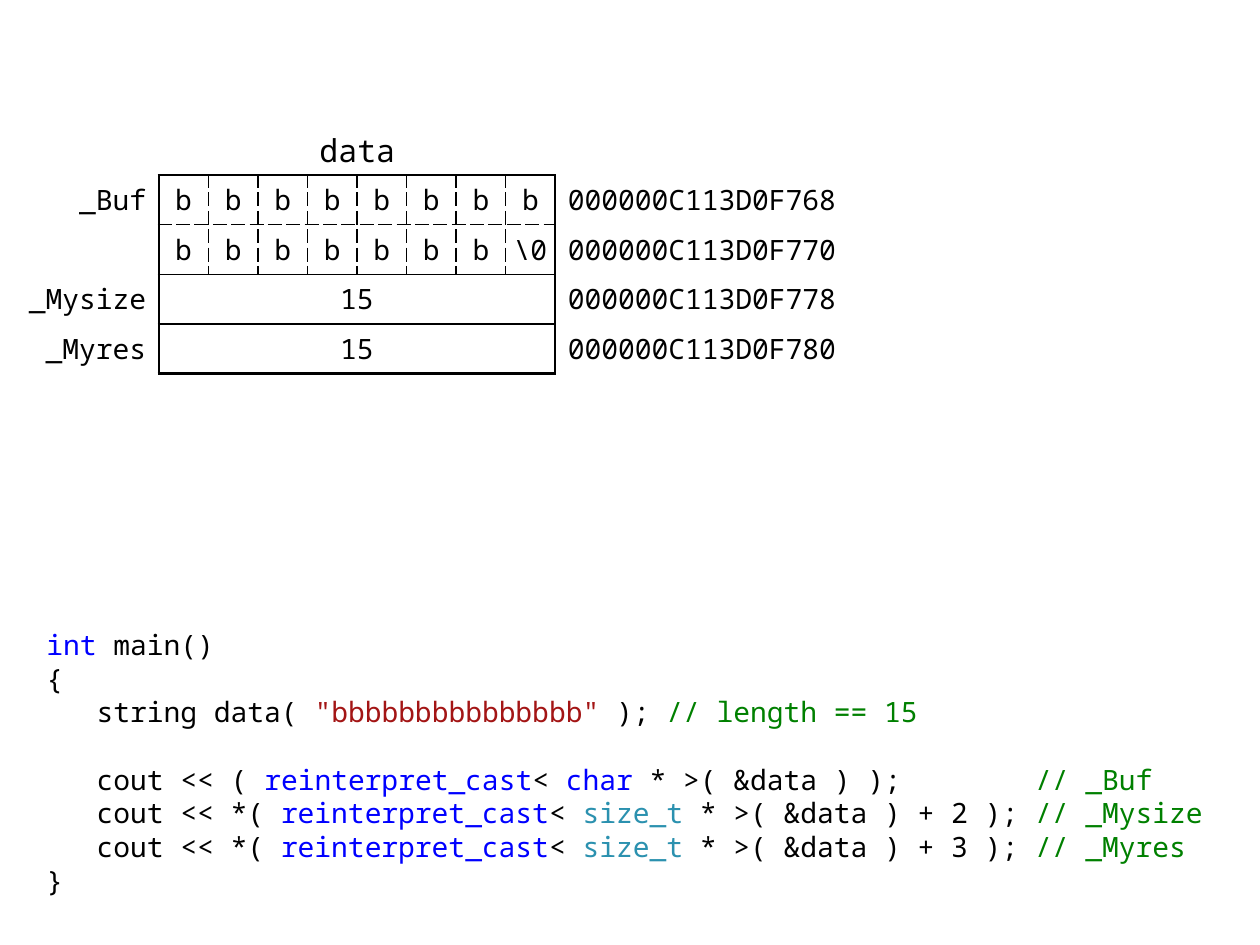
from dataclasses import dataclass

from lxml import etree
from pptx import Presentation
from pptx.dml.color import RGBColor
from pptx.enum.text import MSO_ANCHOR, PP_ALIGN
from pptx.oxml.ns import qn
from pptx.util import Inches, Pt

LEFT, CENTER, RIGHT = PP_ALIGN.LEFT, PP_ALIGN.CENTER, PP_ALIGN.RIGHT
MIDDLE = MSO_ANCHOR.MIDDLE


@dataclass(frozen=True)
class Theme:
    font: str = "Noto Sans Mono"
    text: str = "000000"
    keyword: str = "0000FF"
    type_name: str = "2B91AF"
    string: str = "A31515"
    comment: str = "008000"
    body_size: int = 16
    title_size: int = 18
    code_spacing: float = 19.25


THEME = Theme()

# Border styles: width in points and dash name
THICK, THIN, DASHED = (1.5, "solid"), (1, "solid"), (1, "sysDash")
ROW_LINES = [THICK, DASHED, THIN, THIN, THICK]

BYTES = 8
FIRST, LAST = 1, BYTES  # columns that hold the object's bytes
TABLE_WIDTH = Inches(6.69)
CELL = TABLE_WIDTH // 17  # side of one byte cell
LABEL_CELLS, ADDRESS_CELLS = 3, 6

MEMORY = [
    ("_Buf", ["b"] * 8, "000000C113D0F768"),
    ("", ["b"] * 7 + ["\\0"], "000000C113D0F770"),
    ("_Mysize", ["15"], "000000C113D0F778"),
    ("_Myres", ["15"], "000000C113D0F780"),
]


def size_t_line(offset, comment):
    return [("   cout << *( ", "text"), ("reinterpret_cast", "keyword"),
            ("< ", "text"), ("size_t ", "type_name"),
            (f"* >( &data ) + {offset} );", "text"), (f" // {comment}", "comment")]


CODE = [
    [("int", "keyword"), (" main()", "text")],
    [("{", "text")],
    [("   string data( ", "text"), ('"bbbbbbbbbbbbbbb" ', "string"),
     ("); ", "text"), ("// length == 15", "comment")],
    [],
    [("   cout << ( ", "text"), ("reinterpret_cast", "keyword"), ("< ", "text"),
     ("char", "keyword"), (" * >( &data ) );        ", "text"),
     ("// _Buf", "comment")],
    size_t_line(2, "_Mysize"),
    size_t_line(3, "_Myres"),
    [("}", "text")],
]


def style_font(font, size, color=THEME.text):
    font.name = THEME.font
    font.size = Pt(size)
    font.color.rgb = RGBColor.from_string(color)


def vertical_line(boundary, row):
    """Border style at a column boundary, or None."""
    if boundary in (FIRST, LAST + 1):
        return THICK
    inside = FIRST < boundary <= LAST
    return DASHED if inside and len(MEMORY[row][1]) == BYTES else None


def horizontal_line(boundary, col):
    return ROW_LINES[boundary] if FIRST <= col <= LAST else None


def add_border(cell, side, style):
    width, dash = style or (0, None)
    ln = etree.SubElement(cell._tc.get_or_add_tcPr(), qn(f"a:ln{side}"), w=str(Pt(width)))
    if style is None:
        etree.SubElement(ln, qn("a:noFill"))
        return
    fill = etree.SubElement(ln, qn("a:solidFill"))
    etree.SubElement(fill, qn("a:srgbClr"), val=THEME.text)
    etree.SubElement(ln, qn("a:prstDash"), val=dash)


def format_cell(cell, row, col):
    add_border(cell, "L", vertical_line(col, row))
    add_border(cell, "R", vertical_line(col + 1, row))
    add_border(cell, "T", horizontal_line(row, col))
    add_border(cell, "B", horizontal_line(row + 1, col))
    cell.fill.background()


def write_cell(cell, text, align, left=0.08, right=0.08):
    cell.margin_left, cell.margin_right = Inches(left), Inches(right)
    cell.margin_top = cell.margin_bottom = Inches(0.04)
    cell.vertical_anchor = MIDDLE
    p = cell.text_frame.paragraphs[0]
    p.text = text
    p.alignment = align
    style_font(p.font, THEME.body_size)


def add_memory_table(s):
    rows, cols = len(MEMORY), BYTES + 2
    table = s.shapes.add_table(rows, cols, Inches(0.08), Inches(1.39),
                               TABLE_WIDTH, CELL * rows).table
    table.first_row = table.horz_banding = False
    for col, cells in enumerate([LABEL_CELLS] + [1] * BYTES + [ADDRESS_CELLS]):
        table.columns[col].width = CELL * cells
    for row, (label, values, address) in enumerate(MEMORY):
        table.rows[row].height = CELL
        for col in range(cols):
            format_cell(table.cell(row, col), row, col)
        if len(values) == 1:
            table.cell(row, FIRST).merge(table.cell(row, LAST))
        write_cell(table.cell(row, 0), label, RIGHT, 0.1, 0.1)
        for col, value in enumerate(values, FIRST):
            inset = 0 if value == "\\0" else 0.08
            write_cell(table.cell(row, col), value, CENTER, inset, inset)
        write_cell(table.cell(row, LAST + 1), address, LEFT, 0.1)


def add_title(s, text):
    tf = s.shapes.add_textbox(Inches(2.44), Inches(0.99),
                              Inches(0.79), Inches(0.39)).text_frame
    tf.margin_left = tf.margin_right = Inches(0.08)
    p = tf.paragraphs[0]
    p.text = text
    p.alignment = CENTER
    style_font(p.font, THEME.title_size)


def add_code(s, lines):
    tf = s.shapes.add_textbox(Inches(0.27), Inches(4.93),
                              Inches(9.45), Inches(2.17)).text_frame
    tf.word_wrap = True
    for i, line in enumerate(lines):
        p = tf.add_paragraph() if i else tf.paragraphs[0]
        p.line_spacing = Pt(THEME.code_spacing)
        for text, role in line:
            r = p.add_run()
            r.text = text
            style_font(r.font, THEME.body_size, getattr(THEME, role))


def main():
    prs = Presentation()
    prs.slide_width, prs.slide_height = Inches(10), Inches(7.5)
    s = prs.slides.add_slide(prs.slide_layouts[6])
    add_code(s, CODE)
    add_memory_table(s)
    add_title(s, "data")
    prs.save("out.pptx")


if __name__ == "__main__":
    main()
